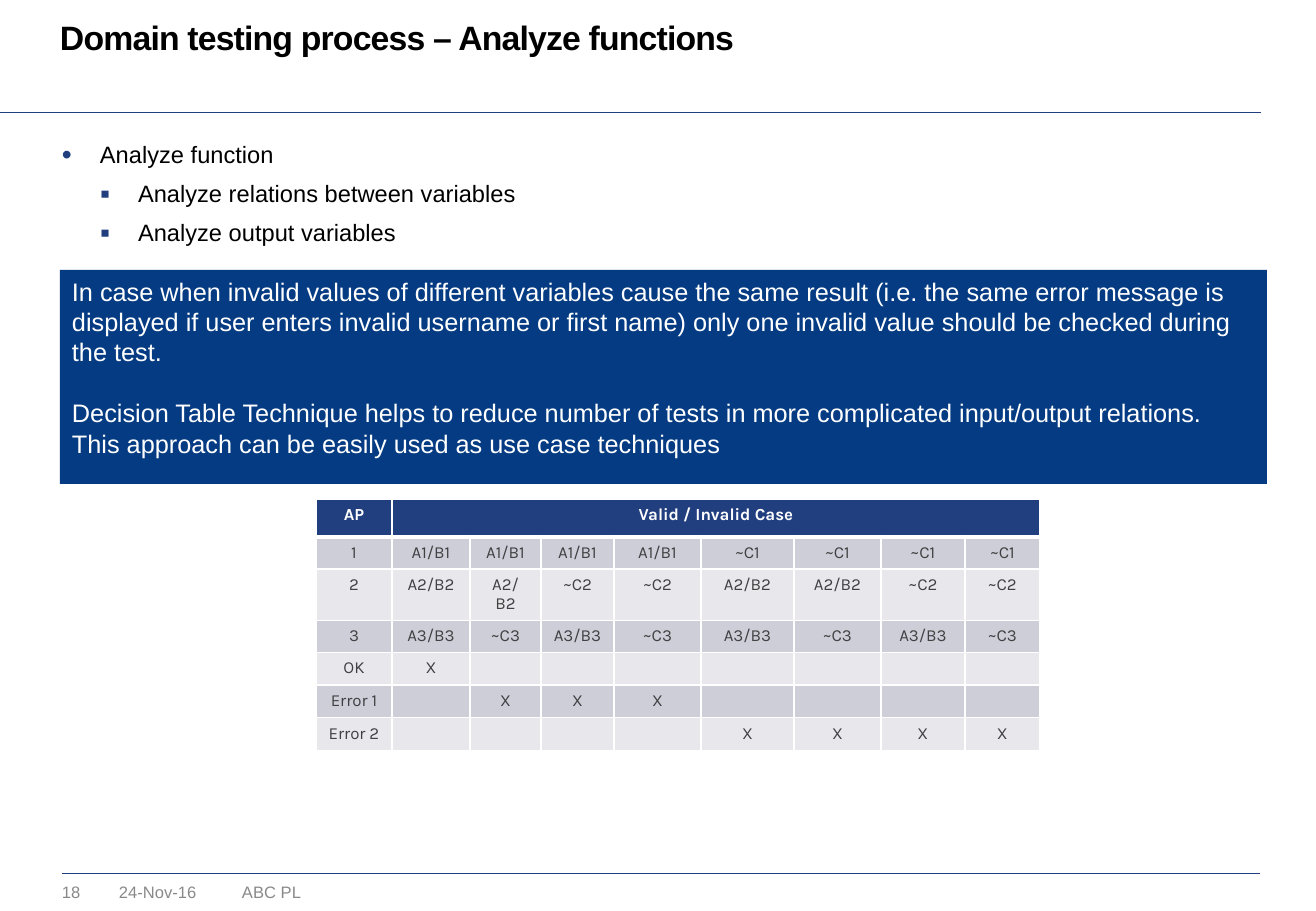
from dataclasses import dataclass

from lxml import etree
from pptx import Presentation
from pptx.dml.color import RGBColor
from pptx.enum.shapes import MSO_CONNECTOR, MSO_SHAPE
from pptx.enum.text import MSO_ANCHOR, MSO_AUTO_SIZE, PP_ALIGN
from pptx.oxml.ns import qn
from pptx.util import Emu, Pt

STRAIGHT = MSO_CONNECTOR.STRAIGHT
RECT = MSO_SHAPE.RECTANGLE
TOP = MSO_ANCHOR.TOP
FIXED = MSO_AUTO_SIZE.NONE
LEFT, CENTER = PP_ALIGN.LEFT, PP_ALIGN.CENTER
SCALE = 914400 / 121.5
HUES = {"navy": "213E7F", "blue": "043B82", "white": "FFFFFF", "black": "000000",
        "gray": "898989", "ink": "414042", "dark": "CDCED8", "light": "E8E8EC"}


@dataclass
class Box:
    x: int
    y: int
    w: int
    h: int


@dataclass
class Style:
    size: float
    hue: str
    font: str = "Arial"
    bold: bool = False


@dataclass
class Label:
    text: str
    box: Box
    wrap: bool = True


@dataclass
class Rule:
    x: int
    end: int
    y: int


@dataclass
class Bullet:
    text: str
    level: int
    mark: str


RULES = [Rule(62, 1260, 873), Rule(0, 1261, 112)]
LABELS = [Label("ABC PL", Box(242, 882, 171, 21)),
          Label("18", Box(62, 882, 47, 20), False),
          Label("24-Nov-16", Box(119, 882, 108, 20))]
BULLETS = [Bullet("Analyze function", 0, "•"),
           Bullet("Analyze relations between variables", 1, "▪"),
           Bullet("Analyze output variables", 1, "▪")]
NOTES = ["In case when invalid values of different variables cause the same result "
         "(i.e. the same error message is displayed if user enters invalid username "
         "or first name) only one invalid value should be checked during the test.",
         "Decision Table Technique helps to reduce number of tests in more complicated "
         "input/output relations. This approach can be easily used as use case techniques"]
WIDTHS = [76, 78, 71, 73, 87, 93, 87, 84, 75]
HEIGHTS = [38, 31, 51, 31, 31, 31, 31]
STEPS = [(1, "TTTTFFFF"), (2, "TTFFTTFF"), (3, "TFTFTFTF")]
MARKS = [("OK", "X       "), ("Error 1", " XXX    "), ("Error 2", "    XXXX")]


def px(n: int) -> Emu:
    return Emu(round(n * SCALE))


def place(box: Box) -> tuple:
    return px(box.x), px(box.y), px(box.w), px(box.h)


def color(hue: str) -> RGBColor:
    return RGBColor.from_string(HUES[hue])


def tint(node, hue: str) -> None:
    etree.SubElement(node, qn("a:srgbClr"), val=HUES[hue])


def write(para, text: str, style: Style):
    run = para.add_run()
    run.text = text
    font = run.font
    font.name, font.size, font.bold = style.font, Pt(style.size), style.bold
    font.color.rgb = color(style.hue)
    return run


def frame(shape, wrap: bool = True, inset: bool = False):
    body = shape.text_frame
    body.word_wrap = wrap
    body.auto_size = FIXED
    body.vertical_anchor = TOP
    if not inset:
        body.margin_left = body.margin_right = body.margin_top = body.margin_bottom = 0
    return body


def settle(shape, box: Box):
    shape.left, shape.top, shape.width, shape.height = place(box)
    return frame(shape)


def draw_rule(slide, rule: Rule) -> None:
    line = slide.shapes.add_connector(STRAIGHT, px(rule.x), px(rule.y), px(rule.end), px(rule.y))
    line.line.color.rgb = color("navy")
    line.line.width = Pt(0.25)
    etree.SubElement(line._element.spPr, qn("a:effectLst"))


def draw_label(slide, label: Label) -> None:
    body = frame(slide.shapes.add_textbox(*place(label.box)), label.wrap)
    write(body.paragraphs[0], label.text, Style(9.8, "gray"))


def draw_title(slide) -> None:
    para = settle(slide.shapes.title, Box(60, 21, 1206, 38)).paragraphs[0]
    para.alignment = LEFT
    para.line_spacing = Pt(21.7)
    run = write(para, "Domain testing process – Analyze functions", Style(20, "black", bold=True))
    run.font._element.set("spc", "-50")


def draw_list(slide) -> None:
    body = settle(slide.placeholders[1], Box(62, 140, 564, 166))
    for i, item in enumerate(BULLETS):
        para = body.add_paragraph() if i else body.paragraphs[0]
        para.level = item.level
        para.alignment = LEFT
        para.space_before = para.space_after = Pt(3.2)
        props = para._p.get_or_add_pPr()
        props.set("marL", str(px(38 * (item.level + 1))))
        props.set("indent", str(px(-38)))
        tint(etree.SubElement(props, qn("a:buClr")), "navy")
        etree.SubElement(props, qn("a:buSzPct"), val="120000")
        etree.SubElement(props, qn("a:buFont"), typeface="Arial")
        etree.SubElement(props, qn("a:buChar"), char=item.mark)
        write(para, item.text, Style(14, "black"))


def draw_notes(slide) -> None:
    panel = slide.shapes.add_shape(RECT, *place(Box(60, 270, 1207, 214)))
    panel.shadow.inherit = False
    panel.fill.solid()
    panel.fill.fore_color.rgb = color("blue")
    panel.line.fill.background()
    body = frame(panel, inset=True)
    for i, text in enumerate(NOTES):
        para = body.add_paragraph() if i else body.paragraphs[0]
        para.alignment = LEFT
        para.line_spacing = Pt(18)
        para.space_before = Pt(18 * i)
        write(para, text, Style(15, "white"))


def edge(cell, row: int) -> None:
    props = cell._tc.get_or_add_tcPr()
    for side in "LRTB":
        thick = (side, row) in (("B", 0), ("T", 1))
        line = etree.SubElement(props, qn(f"a:ln{side}"), w=str(Pt(3 if thick else 1)))
        tint(etree.SubElement(line, qn("a:solidFill")), "white")


def fill_cell(cell, row: int, text: str) -> None:
    edge(cell, row)
    cell.fill.solid()
    cell.fill.fore_color.rgb = color("navy" if row == 0 else "dark" if row % 2 else "light")
    para = cell.text_frame.paragraphs[0]
    para.alignment = CENTER
    if text.strip():
        write(para, text, Style(10, "ink" if row else "white", "Karla", row == 0))
    else:
        etree.SubElement(para._p, qn("a:endParaRPr"), sz="1000")


def draw_table(slide) -> None:
    rows = [["AP", "Valid / Invalid Case"] + [""] * 7]
    rows += [[str(n)] + [f"A{n}/B{n}" if c == "T" else f"~C{n}" for c in case]
             for n, case in STEPS]
    rows += [[name, *marks] for name, marks in MARKS]
    box = Box(316, 499, sum(WIDTHS), sum(HEIGHTS))
    grid = slide.shapes.add_table(len(HEIGHTS), len(WIDTHS), *place(box)).table
    grid.horz_banding = False
    for col, wide in zip(grid.columns, WIDTHS):
        col.width = px(wide)
    for i, (row, high) in enumerate(zip(grid.rows, HEIGHTS)):
        row.height = px(high)
        for cell, text in zip(row.cells, rows[i]):
            fill_cell(cell, i, text)
    grid.cell(0, 1).merge(grid.cell(0, 8))


def main() -> None:
    deck = Presentation()
    deck.slide_width, deck.slide_height = px(1316), px(911)
    slide = deck.slides.add_slide(deck.slide_layouts[1])
    for rule in RULES:
        draw_rule(slide, rule)
    for label in LABELS:
        draw_label(slide, label)
    draw_list(slide)
    draw_title(slide)
    draw_notes(slide)
    draw_table(slide)
    deck.save("out.pptx")


main()
